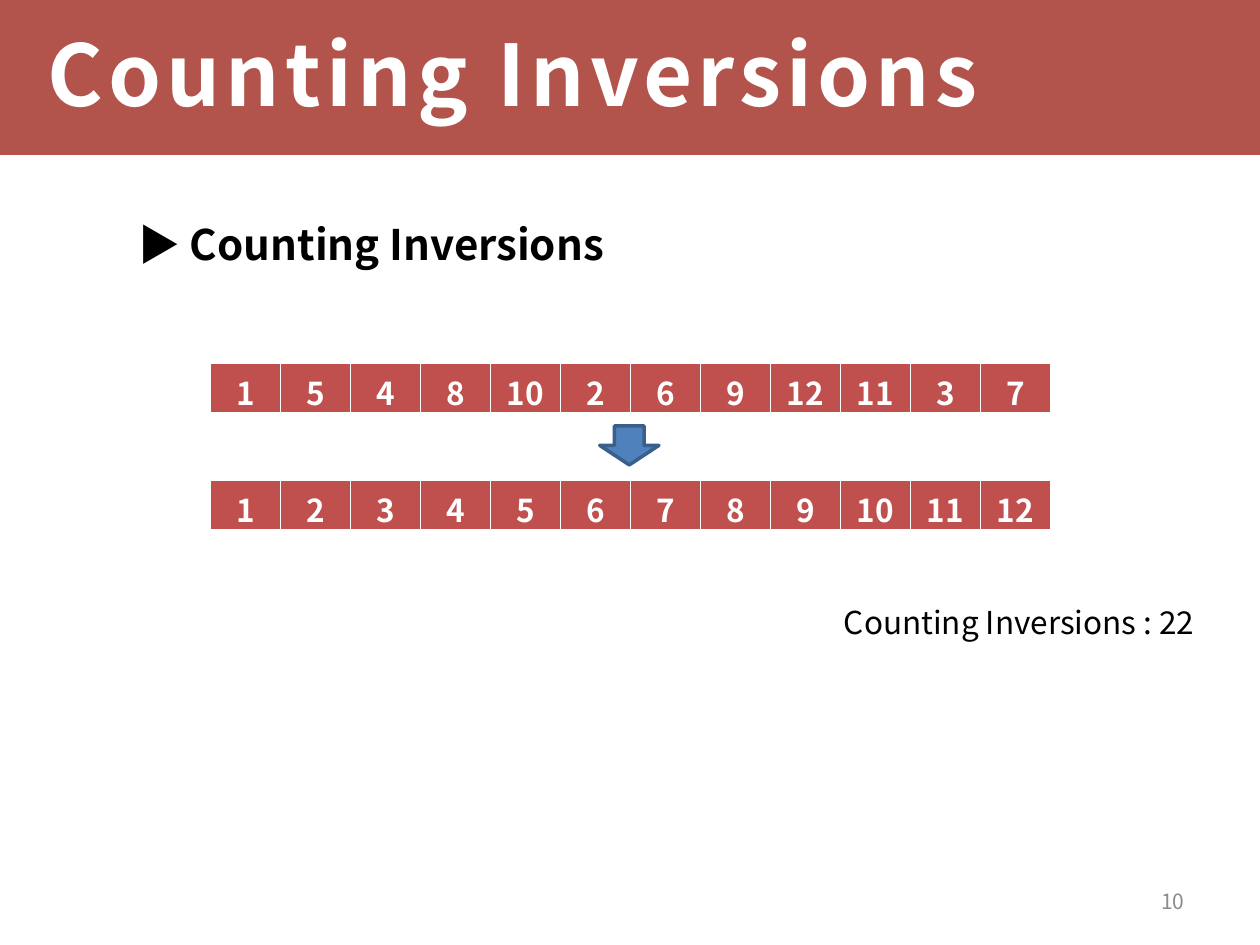
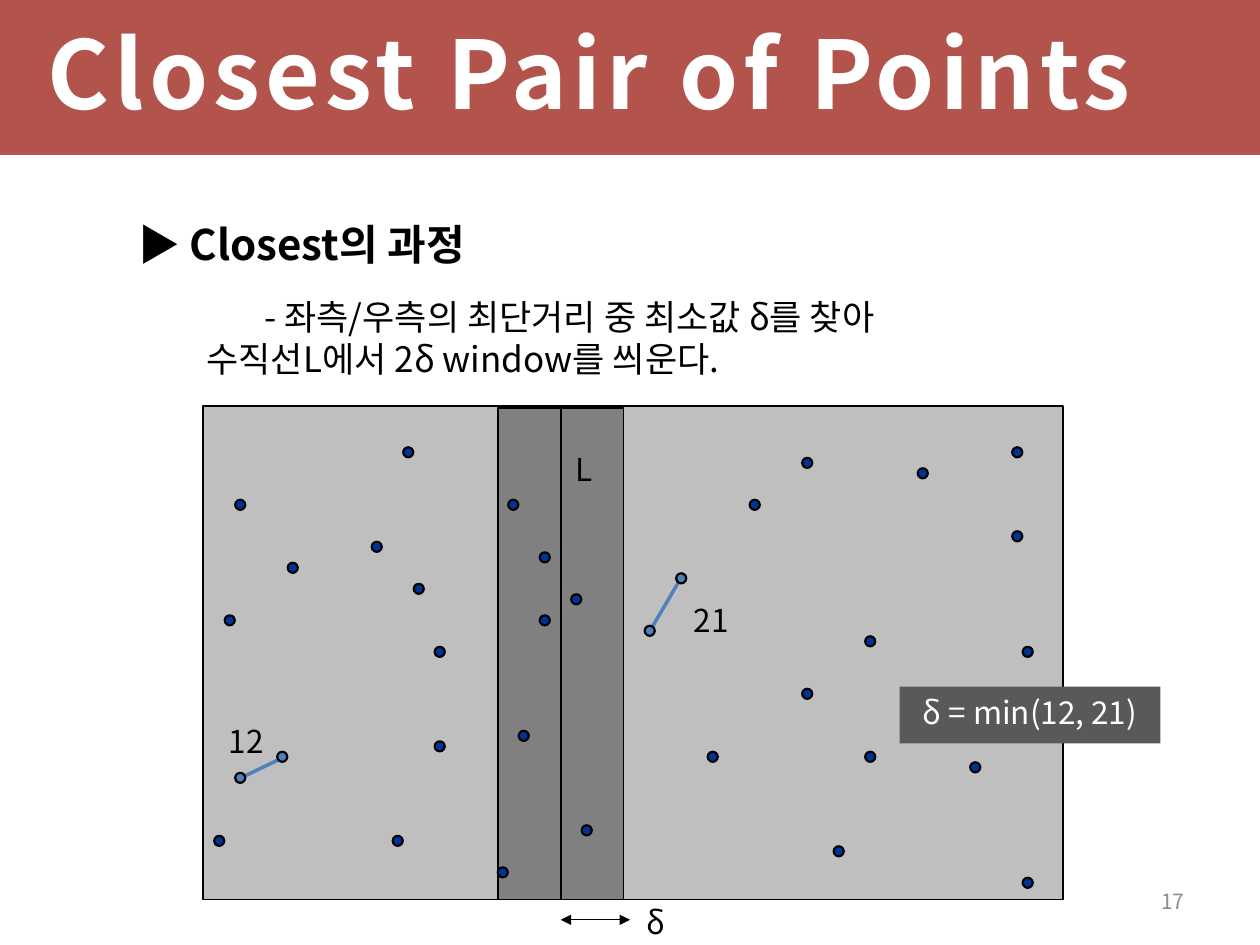
from lxml import etree
from pptx import Presentation
from pptx import util as u
from pptx.dml.color import RGBColor
from pptx.enum import shapes, text
from pptx.oxml.ns import qn

FONT = "Noto Sans CJK KR"
BLACK, WHITE, GREY = "000000", "FFFFFF", "8C8C8C"
BAND, CELL, BLUE, NAVY = "9B1F13", "C0504D", "4F81BD", "003399"
LEFT, CENTER, RIGHT = text.PP_ALIGN.LEFT, text.PP_ALIGN.CENTER, text.PP_ALIGN.RIGHT
TOP, MIDDLE = text.MSO_ANCHOR.TOP, text.MSO_ANCHOR.MIDDLE
RECTANGLE, OVAL = shapes.MSO_SHAPE.RECTANGLE, shapes.MSO_SHAPE.OVAL


def colour(value):
    return RGBColor.from_string(value)


def write(frame, words, size=18, color=BLACK, bold=False, align=LEFT, anchor=TOP,
          spacing=1.0, before=0, indent=0, tracking=0, add=False):
    """Put one formatted paragraph into a text frame."""
    frame.word_wrap = True
    frame.vertical_anchor = anchor
    paragraph = frame.add_paragraph() if add else frame.paragraphs[0]
    paragraph.alignment = align
    paragraph.line_spacing = spacing
    paragraph.space_before = u.Pt(before)
    properties = paragraph._p.get_or_add_pPr()
    properties.set("marL", str(u.Inches(indent)))
    properties.set("indent", "0")
    run = paragraph.add_run()
    run.text = words
    run.font.name = FONT
    run.font.size = u.Pt(size)
    run.font.bold = bold
    run.font.color.rgb = colour(color)
    run_properties = run._r.get_or_add_rPr()
    if tracking:
        run_properties.set("spc", str(tracking * 100))
    etree.SubElement(run_properties, qn("a:ea")).set("typeface", FONT)


presentation = Presentation()
presentation.slide_width = u.Inches(10)
presentation.slide_height = u.Inches(7.5)

# Shared parts: band, title, page number, body heading
pages = [
    ("Counting Inversions", 48.5, "10", "▶ Counting Inversions"),
    ("Closest Pair of Points", 54, "17", "▶ Closest의 과정"),
]
slides, bodies = [], []
for title, title_size, number, heading in pages:
    slide = presentation.slides.add_slide(presentation.slide_layouts[6])
    band = slide.shapes.add_shape(RECTANGLE, 0, 0, u.Inches(10), u.Inches(1.23))
    band.shadow.inherit = False
    band.fill.solid()
    band.fill.fore_color.rgb = colour(BAND)
    band.line.fill.background()
    fill_color = band._element.spPr.find(qn("a:solidFill"))[0]
    etree.SubElement(fill_color, qn("a:alpha")).set("val", "76000")

    title_box = slide.shapes.add_textbox(u.Inches(0.28), 0, u.Inches(9.45), u.Inches(1.23))
    write(title_box.text_frame, title, size=title_size, color=WHITE, bold=True,
          anchor=MIDDLE, spacing=0.95, tracking=3)
    number_box = slide.shapes.add_textbox(
        u.Inches(7.17), u.Inches(6.95), u.Inches(2.33), u.Inches(0.4))
    write(number_box.text_frame, number, size=12, color=GREY, align=RIGHT, anchor=MIDDLE)
    body = slide.shapes.add_textbox(u.Inches(0.5), u.Inches(1.75), u.Inches(9), u.Inches(4.95))
    write(body.text_frame, heading, size=24, bold=True, spacing=0.85, indent=0.5)
    slides.append(slide)
    bodies.append(body.text_frame)

inversions, closest = slides

# Slide 1: the list before and after sorting
unsorted = [1, 5, 4, 8, 10, 2, 6, 9, 12, 11, 3, 7]
for top, values, bottom_margin in [(2.88, unsorted, 0), (3.81, sorted(unsorted), 0.05)]:
    table = inversions.shapes.add_table(
        1, len(values), u.Inches(1.67), u.Inches(top), u.Inches(6.67), u.Inches(0.41)).table
    table.first_row = table.horz_banding = False
    for cell, value in zip(table.rows[0].cells, values):
        cell.margin_top = u.Inches(0.05)
        cell.margin_bottom = u.Inches(bottom_margin)
        write(cell.text_frame, str(value), color=WHITE, bold=True, align=CENTER)
        cell_properties = cell._tc.get_or_add_tcPr()
        for edge, width in [("L", 1), ("R", 1), ("T", 1), ("B", 3)]:
            border = etree.SubElement(cell_properties, qn(f"a:ln{edge}"), w=str(u.Pt(width)))
            solid = etree.SubElement(border, qn("a:solidFill"))
            etree.SubElement(solid, qn("a:srgbClr"), val=WHITE)
        cell.fill.solid()
        cell.fill.fore_color.rgb = colour(CELL)

arrow = inversions.shapes.add_shape(
    shapes.MSO_SHAPE.DOWN_ARROW, u.Inches(4.76), u.Inches(3.38), u.Inches(0.47), u.Inches(0.31))
arrow.shadow.inherit = False
arrow.fill.solid()
arrow.fill.fore_color.rgb = colour(BLUE)
arrow.line.color.rgb = colour("3A5F8C")
arrow.line.width = u.Pt(2)

result = inversions.shapes.add_textbox(
    u.Inches(6.6), u.Inches(4.74), u.Inches(3.3), u.Inches(0.4))
write(result.text_frame, "Counting Inversions : 22")

# Slide 2: explanation
write(bodies[1], "- 좌측/우측의 최단거리 중 최소값 δ를 찾아", size=20, spacing=0.85,
      before=18.3, indent=1.5, add=True)
write(bodies[1], "수직선L에서 2δ window를 씌운다.", size=20, spacing=0.85,
      before=4, indent=1.04, add=True)

# Slide 2: the plane, the window and the points on a grid of 1/12 inch
STEP = 1 / 12
DOT = 0.08
points = [
    (7, 11), (31, 10), (21, 28), (35, 36), (2, 5), (15, 9), (18, 0), (19, 13),
    (51, 5), (28, 5), (77, 41), (56, 1), (62, 18), (1, 16), (34, 14), (21, 19),
    (31, 16), (29, 27), (27, 40), (0, 37), (17, 37), (76, 8), (67, 2), (47, 29),
    (76, 0), (56, 23), (59, 38), (77, 19), (62, 29), (72, 30),
]
pair_points = [(2, 31), (6, 29), (44, 12), (41, 17)]

# Start, end, colour, width, arrowheads
lines = [
    ((4.45, 3.22), (4.45, 7.14), BLACK, 1, False),
    ((2.21, 6.03), (1.94, 6.16), BLUE, 2, False),
    ((5.38, 4.63), (5.18, 4.97), BLUE, 2, False),
    ((4.45, 7.3), (5, 7.3), BLACK, 0.75, True),
]
areas = [
    (RECTANGLE, 1.61, 3.22, 6.83, 3.92, "BFBFBF", 1),
    (RECTANGLE, 3.95, 3.24, 1, 3.9, "808080", 1),
]
dots = [
    (OVAL, 1.7 + column * STEP, 3.55 + row * STEP, DOT, DOT, fill, 1.25)
    for group, fill in [(points, NAVY), (pair_points, BLUE)]
    for column, row in group
]
for part in areas + lines + dots:
    if part in lines:
        start, end, color, width, arrowheads = part
        connector = closest.shapes.add_connector(
            shapes.MSO_CONNECTOR.STRAIGHT, *map(u.Inches, start + end))
        connector.line.color.rgb = colour(color)
        connector.line.width = u.Pt(width)
        if arrowheads:
            for end_name in ("a:headEnd", "a:tailEnd"):
                etree.SubElement(connector.line._get_or_add_ln(), qn(end_name), type="triangle")
        etree.SubElement(connector._element.spPr, qn("a:effectLst"))
    else:
        kind, left, top, width, height, fill, outline = part
        shape = closest.shapes.add_shape(kind, *map(u.Inches, (left, top, width, height)))
        shape.shadow.inherit = False
        shape.fill.solid()
        shape.fill.fore_color.rgb = colour(fill)
        shape.line.color.rgb = colour(BLACK)
        shape.line.width = u.Pt(outline)

# Slide 2: labels
labels = [
    ("12", 1.68, 5.68, 0.55, 0.45, BLACK, None),
    ("21", 5.37, 4.72, 0.55, 0.45, BLACK, None),
    ("δ", 5.03, 7.12, 0.33, 0.35, BLACK, None),
    ("L", 4.36, 3.52, 0.55, 0.45, BLACK, None),
    ("δ = min(12, 21)", 7.14, 5.45, 2.07, 0.45, WHITE, "595959"),
]
for words, left, top, width, height, color, fill in labels:
    label = closest.shapes.add_textbox(*map(u.Inches, (left, top, width, height)))
    write(label.text_frame, words, color=color, align=CENTER)
    if fill:
        label.fill.solid()
        label.fill.fore_color.rgb = colour(fill)

presentation.save("out.pptx")
